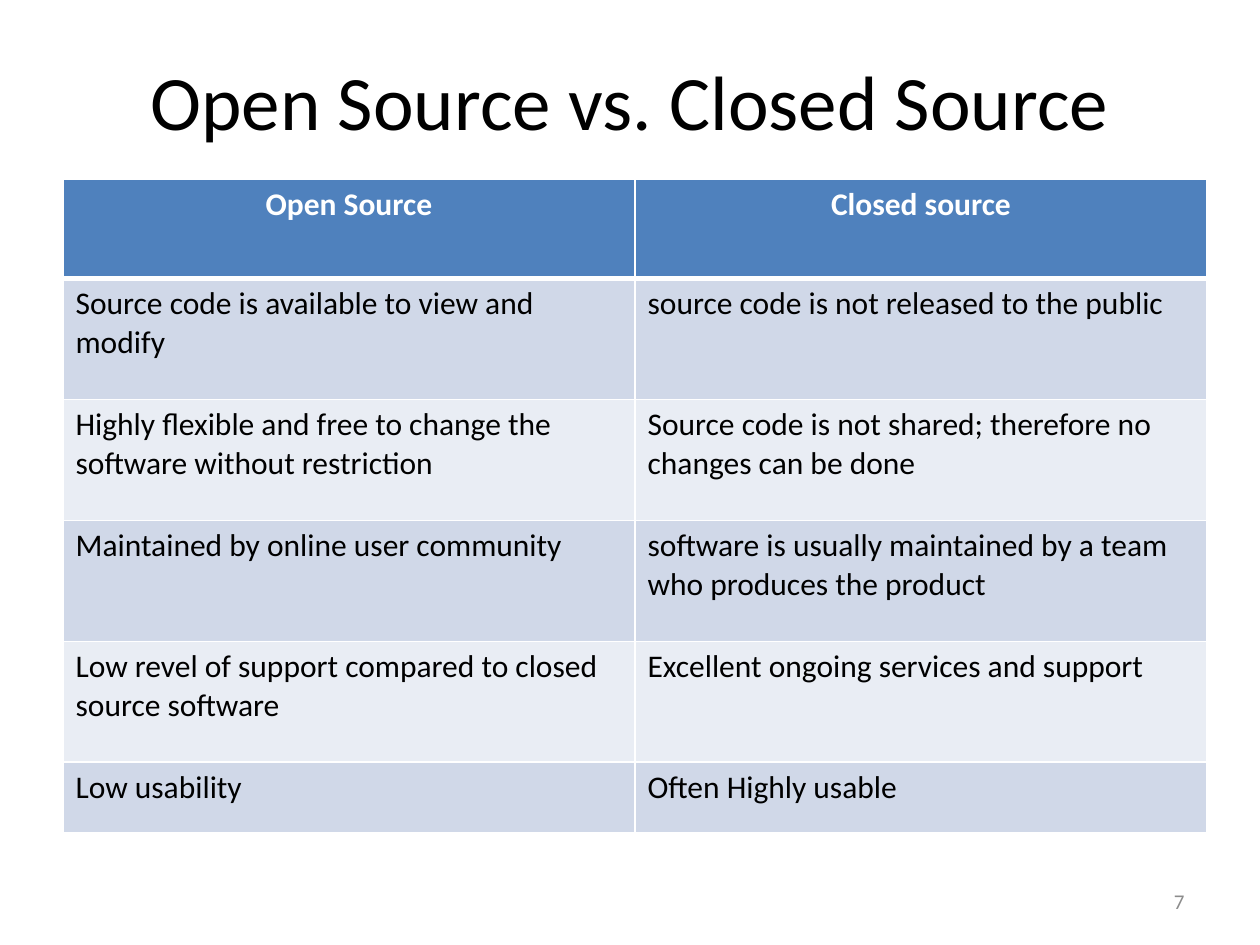
"""Build the slide that compares open source with closed source software."""
from dataclasses import dataclass

from lxml import etree
from pptx import Presentation
from pptx.dml.color import RGBColor
from pptx.enum.text import MSO_ANCHOR, PP_ALIGN
from pptx.oxml.ns import qn
from pptx.util import Emu, Pt

LEFT, CENTER, RIGHT = PP_ALIGN.LEFT, PP_ALIGN.CENTER, PP_ALIGN.RIGHT
TOP, MIDDLE = MSO_ANCHOR.TOP, MSO_ANCHOR.MIDDLE
TITLE_ONLY = 5
EMU_PER_PX = 9144
FONT = "Calibri"
COLORS = {
    "black": "000000",
    "white": "FFFFFF",
    "grey": "8C8C8C",
    "header": "4F81BD",
    "band_dark": "D0D8E8",
    "band_light": "E9EDF4",
}
HEADER_RULE, THIN_RULE = 3, 1


@dataclass(frozen=True)
class Area:
    left: int
    top: int
    width: int
    height: int

    def emu(self) -> tuple[Emu, ...]:
        return tuple(map(px, (self.left, self.top, self.width, self.height)))


@dataclass(frozen=True)
class TextStyle:
    size: int
    color: str
    align: PP_ALIGN = LEFT
    anchor: MSO_ANCHOR = MIDDLE
    bold: bool = False


@dataclass(frozen=True)
class Comparison:
    open_source: str
    closed_source: str
    height: int = 96


PAGE_SIZE = (1000, 750)
TITLE_AREA = Area(50, 33, 900, 92)
TABLE_AREA = Area(50, 142, 908, 520)
NUMBER_AREA = Area(717, 695, 233, 40)
TITLE_STYLE = TextStyle(44, "black", CENTER)
HEADER_STYLE = TextStyle(18, "white", CENTER, TOP, True)
BODY_STYLE = TextStyle(18, "black", LEFT, TOP)
NUMBER_STYLE = TextStyle(12, "grey", RIGHT)
COMPARISONS = [
    Comparison("Open Source", "Closed source", 79),
    Comparison("Source code is available to view and modify",
               "source code is not released to the public"),
    Comparison("Highly flexible and free to change the software without restriction",
               "Source code is not shared; therefore no changes can be done"),
    Comparison("Maintained by online user community",
               "software is usually maintained by a team who produces the product"),
    Comparison("Low revel of support compared to closed source software",
               "Excellent ongoing services and support"),
    Comparison("Low usability", "Often Highly usable", 56),
]


def px(length: int) -> Emu:
    """Turn a length in px into EMU."""
    return Emu(length * EMU_PER_PX)


def rgb(name: str) -> RGBColor:
    """Look up a named colour."""
    return RGBColor.from_string(COLORS[name])


def write_text(frame, text: str, style: TextStyle) -> None:
    """Put one styled paragraph into a text frame."""
    frame.word_wrap = True
    para = frame.paragraphs[0]
    para.alignment = style.align
    span = para.add_run()
    span.text = text
    formats = {"name": FONT, "size": Pt(style.size), "bold": style.bold}
    for attribute, value in formats.items():
        setattr(span.font, attribute, value)
    span.font.color.rgb = rgb(style.color)


def add_borders(cell, top: int, bottom: int) -> None:
    """Draw white rules around a table cell."""
    properties = cell._tc.get_or_add_tcPr()
    widths = {"a:lnL": THIN_RULE, "a:lnR": THIN_RULE, "a:lnT": top, "a:lnB": bottom}
    for index, (tag, width) in enumerate(widths.items()):
        line = etree.Element(qn(tag), w=str(Pt(width)))
        fill = etree.SubElement(line, qn("a:solidFill"))
        etree.SubElement(fill, qn("a:srgbClr"), val=COLORS["white"])
        properties.insert(index, line)


def add_title(page, text: str) -> None:
    """Place and format the title placeholder."""
    title = page.shapes.title
    for attribute, value in zip(("left", "top", "width", "height"), TITLE_AREA.emu()):
        setattr(title, attribute, value)
    title.text_frame.vertical_anchor = TITLE_STYLE.anchor
    write_text(title.text_frame, text, TITLE_STYLE)


def add_comparison_table(page, comparisons: list[Comparison]) -> None:
    """Draw the two-column table with a header and banded rows."""
    table = page.shapes.add_table(len(comparisons), 2, *TABLE_AREA.emu()).table
    for column in table.columns:
        column.width = px(TABLE_AREA.width // 2)
    for row, comparison in enumerate(comparisons):
        table.rows[row].height = px(comparison.height)
        style = BODY_STYLE if row else HEADER_STYLE
        band = ("band_dark" if row % 2 else "band_light") if row else "header"
        top = HEADER_RULE if row == 1 else THIN_RULE
        bottom = THIN_RULE if row else HEADER_RULE
        texts = (comparison.open_source, comparison.closed_source)
        for cell, text in zip(table.rows[row].cells, texts):
            cell.fill.solid()
            cell.fill.fore_color.rgb = rgb(band)
            cell.vertical_anchor = style.anchor
            write_text(cell.text_frame, text, style)
            add_borders(cell, top, bottom)


def add_page_number(page, number: int) -> None:
    """Write the page number at the lower right."""
    box = page.shapes.add_textbox(*NUMBER_AREA.emu())
    box.text_frame.vertical_anchor = NUMBER_STYLE.anchor
    write_text(box.text_frame, str(number), NUMBER_STYLE)


def main() -> None:
    """Build and save the deck."""
    deck = Presentation()
    deck.slide_width, deck.slide_height = map(px, PAGE_SIZE)
    page = deck.slides.add_slide(deck.slide_layouts[TITLE_ONLY])
    add_title(page, "Open Source vs. Closed Source")
    add_comparison_table(page, COMPARISONS)
    add_page_number(page, 7)
    deck.save("out.pptx")


if __name__ == "__main__":
    main()
